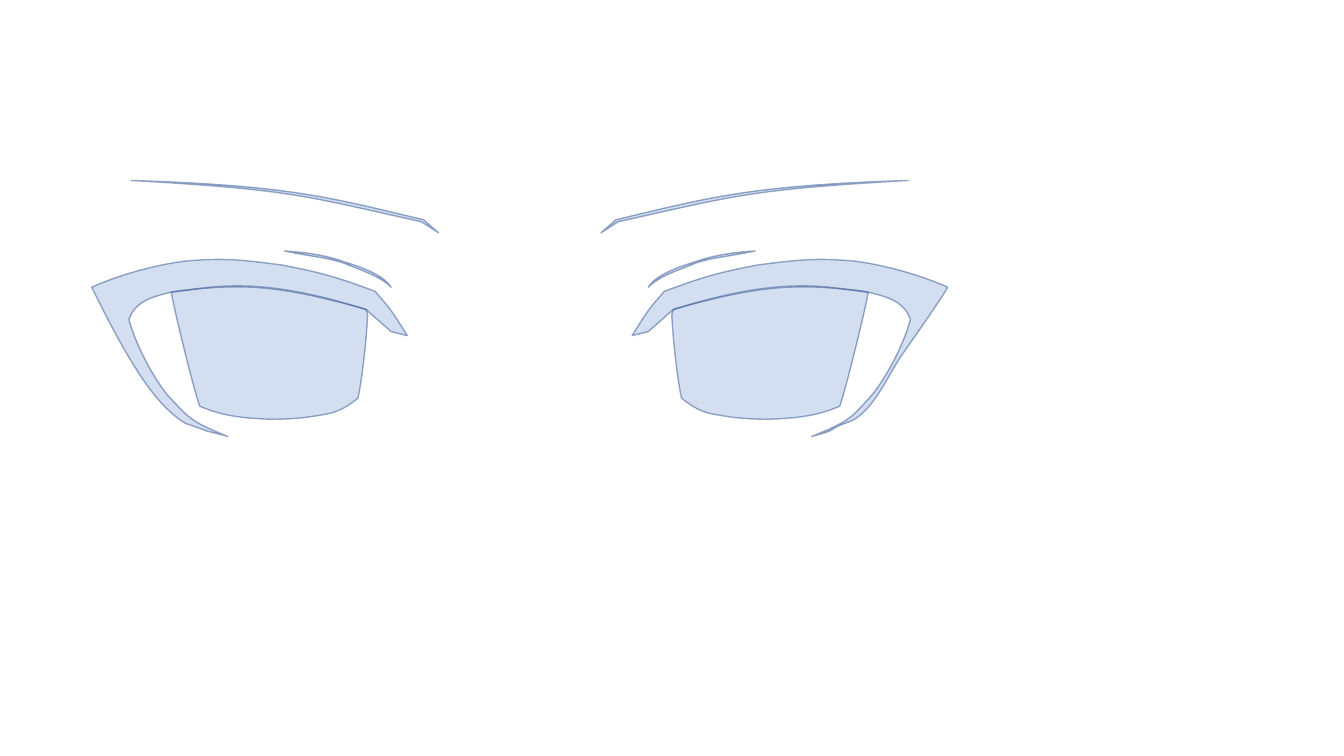
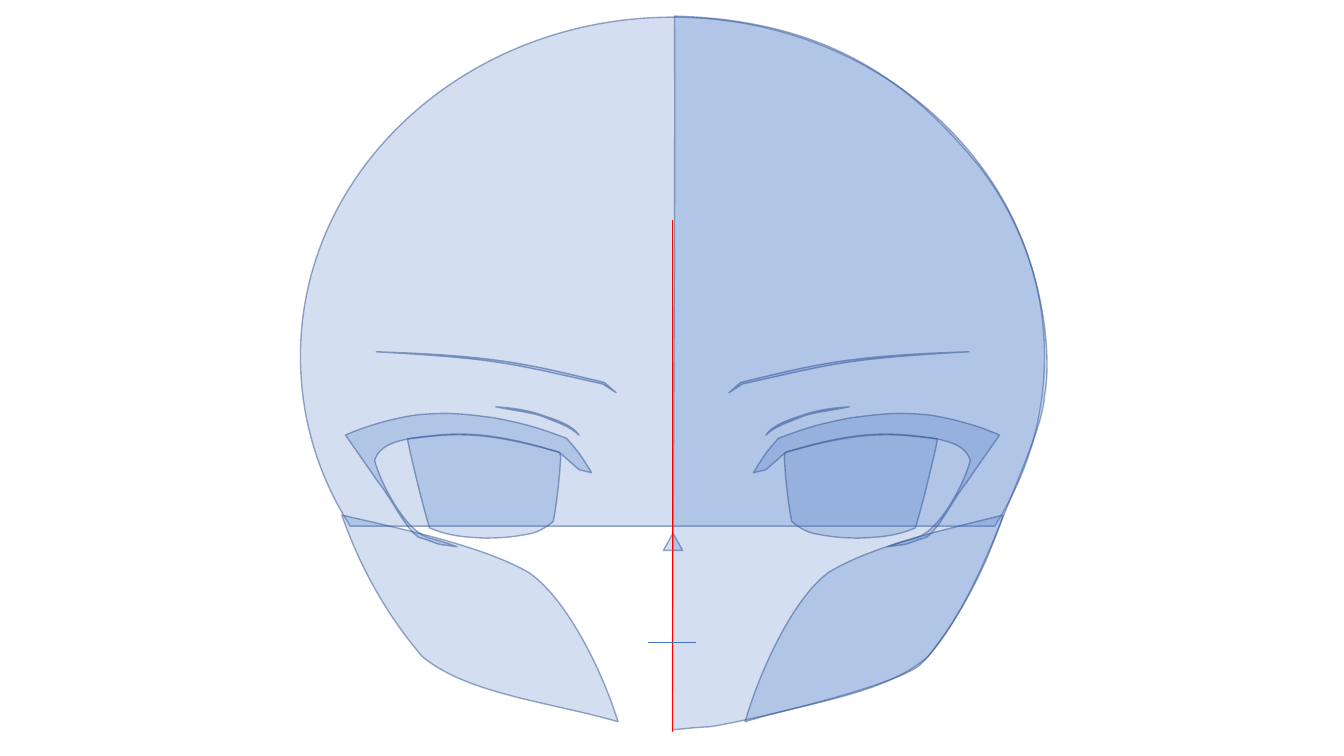
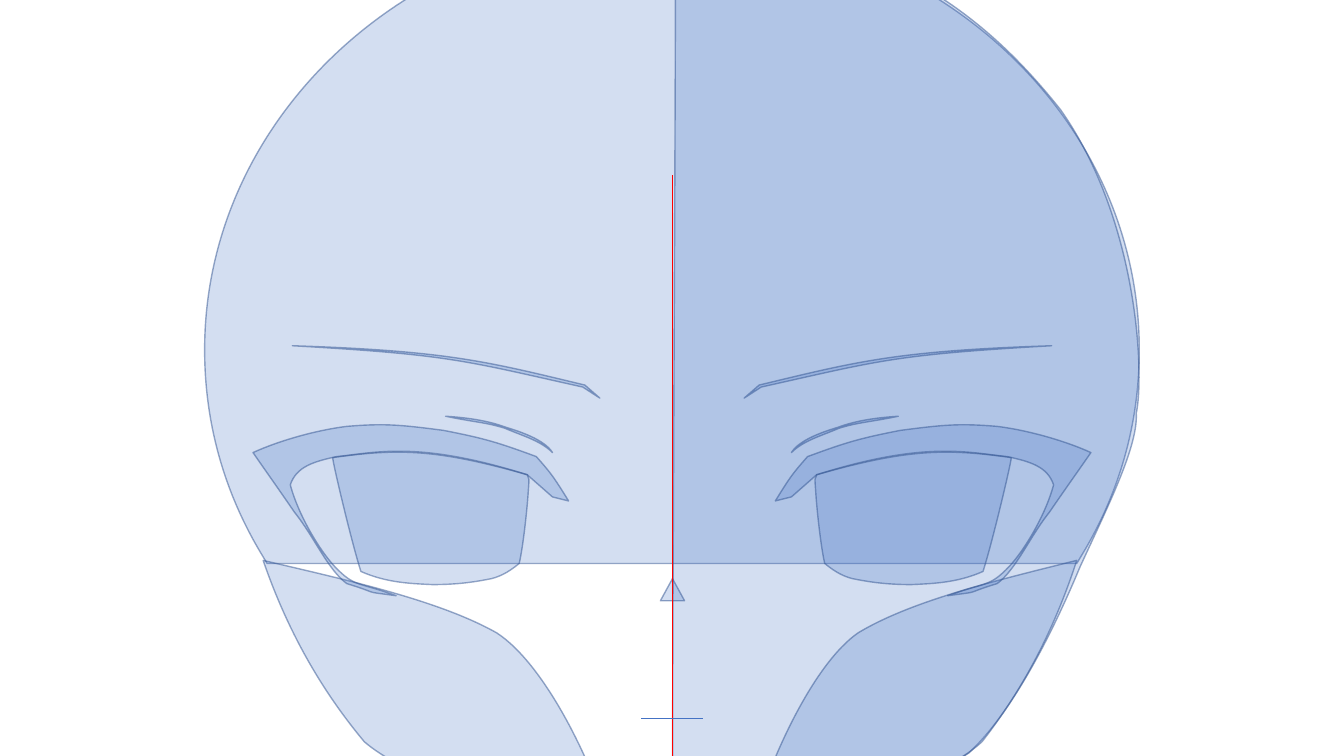
"""Three slides of an anime face drawing: the eyes, the whole face, a closer view."""
from lxml import etree
from pptx import Presentation
from pptx import util as u
from pptx.dml.color import RGBColor
from pptx.enum import shapes
from pptx.oxml.ns import qn

PX = 9144
BLUE = RGBColor(0x44, 0x72, 0xC4)
NAVY = RGBColor(0x32, 0x54, 0x91)
RED = RGBColor(0xFF, 0, 0)

IRIS = [(72, 128), (163, 102, 201, 102, 265, 111),
        (265, 116, 246, 196, 237, 224), (212, 235, 189, 236, 166, 237),
        (139, 237, 122, 234, 107, 231), (100, 229, 92, 226, 80, 216),
        (76, 199, 72, 161, 71, 144), (70, 130, 70, 133, 72, 128)]
FOLD = [(47, 106), (59, 94, 78, 89, 94, 82), (113, 76, 124, 76, 153, 70),
        (121, 72, 104, 77, 93, 81), (80, 85, 55, 93, 47, 106)]
BROW = [(305, 0), (147, 9, 134, 15, 17, 41), (0, 52), (15, 39),
        (111, 16, 150, 5, 305, 0)]
LID = [(72, 128), (47, 150), (31, 154), (47, 128, 49, 126, 63, 110),
       (101, 96, 114, 92, 155, 84), (200, 78, 215, 77, 251, 80),
       (283, 84, 320, 95, 344, 106)]
UNDER = [(278, 203, 299, 168, 307, 138), (301, 120, 284, 115, 261, 110),
         (222, 106, 180, 94, 72, 128)]
ROUND = [(307, 181, 281, 223, 251, 241), (217, 253, 242, 245, 209, 254),
         (246, 239, 246, 237, 267, 215)]
BENT = [(334, 123, 311, 155, 296, 177), (280, 203, 270, 226, 250, 238),
        (217, 250, 242, 245, 209, 254), (246, 239, 247, 237, 267, 215)]
SHARP = [(333, 122, 318, 143, 303, 165), (283, 190, 270, 222, 251, 236),
         (215, 247, 239, 243, 202, 248), (240, 234, 243, 240, 263, 219)]
SKULL = [(464, 0), (720, 0, 927, 189, 927, 423), (927, 497, 907, 565, 871, 625),
         (865, 635), (62, 635), (56, 625), (20, 565, 0, 497, 0, 423),
         (0, 189, 208, 0, 464, 0)]
CHEEK = [(323, 0), (302, 65, 272, 125, 229, 180), (176, 228, 79, 238, 0, 263),
         (20, 193, 63, 102, 106, 72), (159, 40, 243, 20, 323, 0)]
HALF = [(667, 724), (680, 723, 685, 722, 704, 721), (734, 717, 877, 684, 911, 661),
        (946, 629, 975, 562, 994, 515), (1013, 467, 1035, 418, 1036, 392),
        (1042, 364, 1042, 257, 972, 166), (906, 85, 825, 20, 669, 16),
        (670, 194, 667, 544, 667, 724)]
CLOSE = [(667, 824), (683, 823, 690, 822, 715, 820), (752, 815, 918, 777, 961, 747),
         (1006, 705, 1046, 623, 1071, 563), (1098, 504, 1129, 443, 1127, 410),
         (1135, 374, 1130, 220, 1052, 109), (975, 12, 870, -71, 670, -76),
         (670, 152, 667, 593, 667, 824)]


def tint(shape):
    shape.shadow.inherit = False
    shape.fill.solid()
    shape.fill.fore_color.rgb = BLUE
    shape.line.color.rgb = NAVY
    shape.line.width = u.Pt(1)
    colours = shape._element.spPr.iter(qn("a:srgbClr"))
    for colour, alpha in zip(colours, ("23000", "50000")):
        etree.SubElement(colour, qn("a:alpha")).set("val", alpha)


def draw(slide, outline, left, top, wide=1, high=1):
    parts = [[(round((left + x * wide) * PX), round((top + y * high) * PX))
              for x, y in zip(part[::2], part[1::2])] for part in outline]
    pen = slide.shapes.build_freeform(*parts[0][0], scale=1.0)
    pen.add_line_segments([part[-1] for part in parts[1:]], close=True)
    shape = pen.convert_to_shape()
    knots = list(shape._element.spPr.iter(qn("a:lnTo")))
    for knot, part in zip(knots, parts[1:]):
        if len(part) == 3:
            knot.tag = qn("a:cubicBezTo")
            for spot, (x, y) in enumerate(part[:2]):
                bend = etree.Element(qn("a:pt"))
                bend.set("x", str(x - shape.left))
                bend.set("y", str(y - shape.top))
                knot.insert(spot, bend)
    tint(shape)


deck = Presentation()
deck.slide_width, deck.slide_height = 1333 * PX, 750 * PX
pages = [deck.slides.add_slide(deck.slide_layouts[6]) for _ in range(3)]

faces = [
    dict(page=pages[1], skull=(298, 17, 738 / 927, 505 / 635), half=HALF,
         cheeks=[(613, 511, -274 / 323, 205 / 263), (739, 511, 256 / 323, 205 / 263)],
         nose=(658, 529, 19, 17),
         lines=[(667, 218, 667, 726, RED), (643, 637, 690, 637, BLUE)]),
    dict(page=pages[2], skull=(203, -76, 1, 1), half=CLOSE,
         cheeks=[(606, 556, -345 / 323, 1), (745, 556, 1, 1)],
         nose=(655, 574, 24, 22),
         lines=[(667, 174, 667, 826, RED), (636, 713, 697, 713, BLUE)]),
]
for face in faces:
    page = face["page"]
    draw(page, SKULL, *face["skull"])
    draw(page, face["half"], 0, 0)
    for cheek in face["cheeks"]:
        draw(page, CHEEK, *cheek)
    box = [n * PX for n in face["nose"]]
    tint(page.shapes.add_shape(shapes.MSO_SHAPE.ISOSCELES_TRIANGLE, *box))
    for *ends, colour in face["lines"]:
        line = page.shapes.add_connector(
            shapes.MSO_CONNECTOR.STRAIGHT, *[n * PX for n in ends])
        line.line.color.rgb = colour
        line.line.width = u.Pt(0.5)
        etree.SubElement(line._element.spPr, qn("a:effectLst"))

eyes = [
    (pages[0], 435, 179, -1, 1, ROUND),
    (pages[0], 596, 179, 1, 1, BENT),
    (pages[1], 611, 349, -1, 0.78, SHARP),
    (pages[1], 723, 349, 1, 0.78, SHARP),
    (pages[2], 595, 343, -1, 1, SHARP),
    (pages[2], 738, 343, 1, 1, SHARP),
]
for page, left, top, side, size, edge in eyes:
    for outline in (IRIS, LID + edge + UNDER, FOLD, BROW):
        draw(page, outline, left, top, side * size, size)

deck.save("out.pptx")
